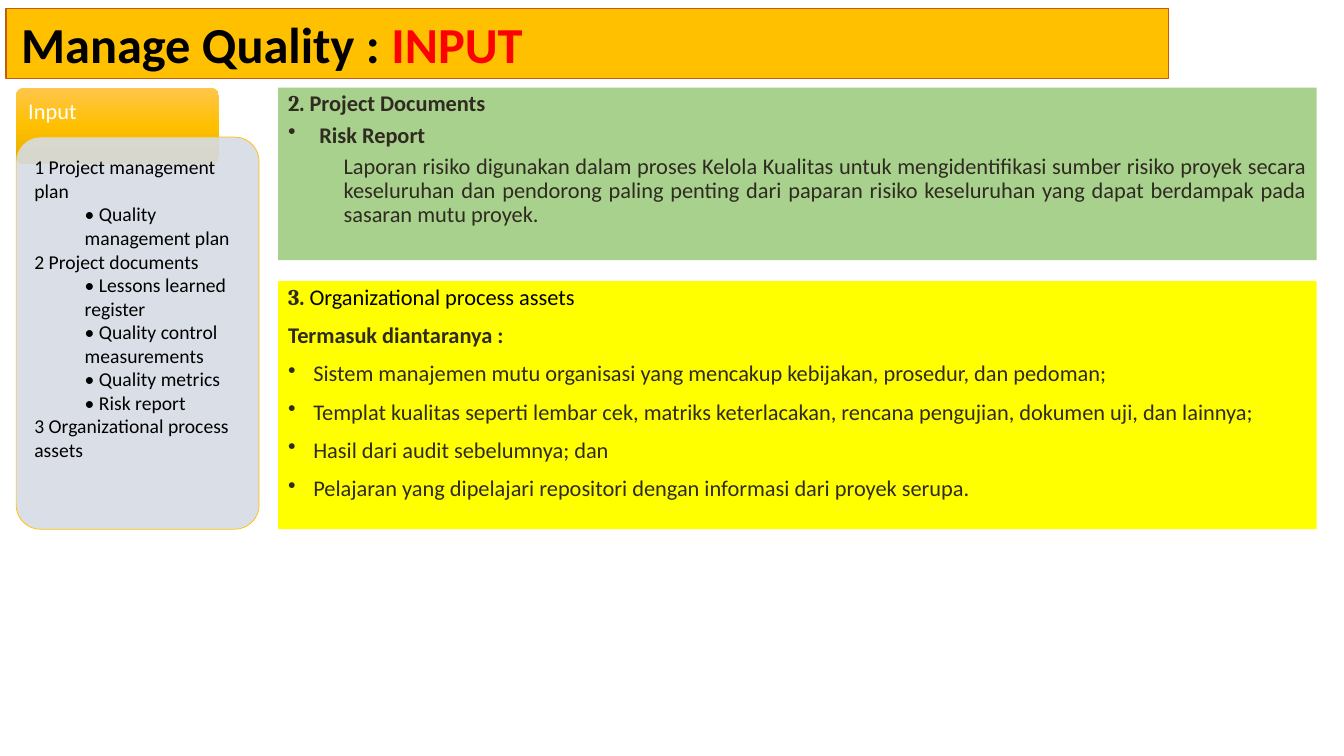
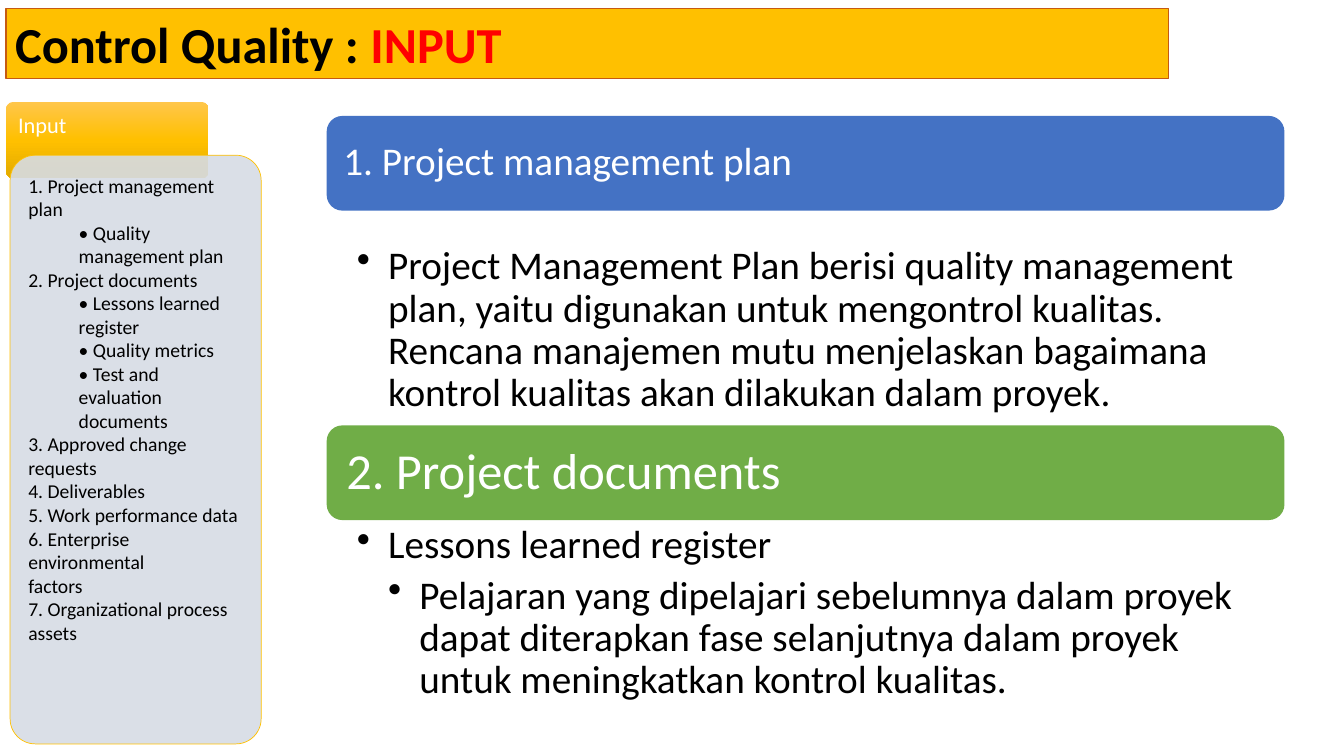
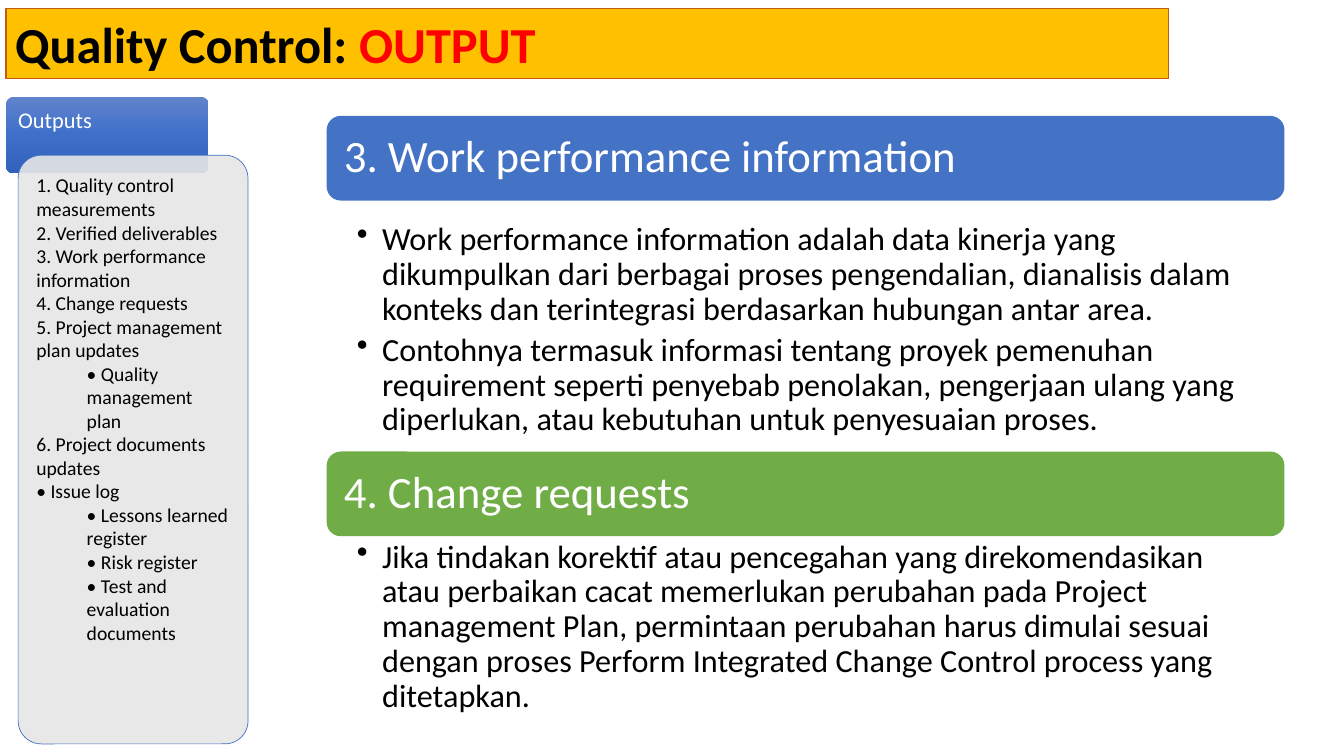
import copy

import pptx
import pptx.dml.color
import pptx.enum.shapes
import pptx.enum.text
import pptx.oxml.ns
import pptx.oxml.xmlchemy
import pptx.util
from lxml import etree

Inches, Pt = pptx.util.Inches, pptx.util.Pt
SHAPES = pptx.enum.shapes.MSO_SHAPE
ANCHOR = pptx.enum.text.MSO_ANCHOR
ALIGN = pptx.enum.text.PP_ALIGN
qn = pptx.oxml.ns.qn


class Theme:
    font, number_font = "Calibri", "Cambria"
    black, white, red, ink = "000000", "FFFFFF", "FF0000", "2F2B20"
    band, band_line = "FFC000", "C55A11"
    blue, green = "4472C4", "70AD47"
    pale_green, yellow = "A9D18E", "FFFF00"
    gold_side = {"tab": ("FFC64B", "FFC000", "E3AB00"), "panel": "D6DCE5", "line": "FFC000"}
    blue_side = {"tab": ("6183CB", "3E70CA", "3062BB"), "panel": "E7E6E6", "line": "4472C4"}
    title_size, tab_size, list_size, card_size = 36, 16, 14, 16


# Paragraph layouts: left margin and first-line indent in inches, spacing in points
FLUSH = {}
SUB = {"left": 0.5}
HEAD = {"spacing": 0.9}
CARD_LINE = {"spacing": 0.9, "before": 10}
CARD_BULLET = {"spacing": 0.9, "before": 10, "left": 0.25, "hang": 0.25, "bullet": True}
CARD_SUBHEAD = {"spacing": 0.9, "before": 5, "left": 0.31, "hang": 0.31, "bullet": True}
CARD_TEXT = {"spacing": 0.9, "before": 5, "left": 0.55, "align": ALIGN.JUSTIFY}

INK = {"size": Theme.card_size, "color": Theme.ink}
INK_BOLD = {**INK, "bold": True}
NUMBER = {**INK_BOLD, "font": Theme.number_font}
CARD_TITLE = {"size": Theme.card_size, "color": Theme.black}

# Content: in a side list, a pair (text, SUB) is an indented entry
SLIDES = [
    {
        "title": ("Manage Quality : ", "INPUT"), "title_inset": 0.15,
        "side": {
            "colors": Theme.gold_side, "label": "Input",
            "tab": (0.16, 0.87), "panel": (0.16, 1.36, 2.41, 3.89),
            "entries": [
                ("1 Project management plan", FLUSH),
                ("• Quality management plan", SUB),
                ("2 Project documents", FLUSH),
                ("• Lessons learned register", SUB),
                ("• Quality control", SUB),
                ("measurements", SUB),
                ("• Quality metrics", SUB),
                ("• Risk report", SUB),
                ("3 Organizational process assets", FLUSH),
            ],
        },
        "cards": [
            (0.87, 1.71, Theme.pale_green, [
                ([("2. ", NUMBER), ("Project Documents", INK_BOLD)], CARD_LINE),
                ([("Risk Report", INK_BOLD)], CARD_SUBHEAD),
                ([("Laporan risiko digunakan dalam proses Kelola Kualitas untuk "
                   "mengidentifikasi sumber risiko proyek secara keseluruhan dan pendorong "
                   "paling penting dari paparan risiko keseluruhan yang dapat berdampak pada "
                   "sasaran mutu proyek.", INK)], CARD_TEXT),
            ]),
            (2.79, 2.46, Theme.yellow, [
                ([("3. ", NUMBER), ("Organizational process assets", CARD_TITLE)], CARD_LINE),
                ([("Termasuk diantaranya :", INK_BOLD)], CARD_LINE),
                *[([(entry, INK)], CARD_BULLET) for entry in (
                    "Sistem manajemen mutu organisasi yang mencakup kebijakan, prosedur, "
                    "dan pedoman;",
                    "Templat kualitas seperti lembar cek, matriks keterlacakan, rencana "
                    "pengujian, dokumen uji, dan lainnya;",
                    "Hasil dari audit sebelumnya; dan",
                    "Pelajaran yang dipelajari repositori dengan informasi dari proyek serupa.",
                )],
            ]),
        ],
    },
    {
        "title": ("Control Quality : ", "INPUT"),
        "side": {
            "colors": Theme.gold_side, "label": "Input",
            "tab": (0.06, 1.01), "panel": (0.1, 1.54, 2.49, 5.84),
            "entries": [
                ("1. Project management plan", FLUSH),
                ("• Quality management plan", SUB),
                ("2. Project documents", FLUSH),
                ("• Lessons learned register", SUB),
                ("• Quality metrics", SUB),
                ("• Test and evaluation", SUB),
                ("documents", SUB),
                ("3. Approved change requests", FLUSH),
                ("4. Deliverables", FLUSH),
                ("5. Work performance data", FLUSH),
                ("6. Enterprise environmental", FLUSH),
                ("factors", FLUSH),
                ("7. Organizational process assets", FLUSH),
            ],
        },
        "topics": {
            "bar_height": 0.94, "body_size": 28, "hang": 0.31, "insets": (0.3, 0.05, 0.28, 0.05),
            "sections": [
                {"heading": "1. Project management plan", "size": 28, "inset": 0.12,
                 "color": Theme.blue, "gap": 0.3, "height": 1.83, "points": [
                     (1, "Project Management Plan berisi quality management plan, yaitu "
                         "digunakan untuk mengontrol kualitas. Rencana manajemen mutu "
                         "menjelaskan bagaimana kontrol kualitas akan dilakukan dalam proyek.")]},
                {"heading": "2. Project documents", "size": 36, "inset": 0.15,
                 "color": Theme.green, "gap": 0, "height": 1.92, "points": [
                     (1, "Lessons learned register"),
                     (2, "Pelajaran yang dipelajari sebelumnya dalam proyek dapat diterapkan "
                         "fase selanjutnya dalam proyek untuk meningkatkan kontrol kualitas.")]},
            ],
        },
    },
    {
        "title": ("Quality Control: ", "OUTPUT"),
        "side": {
            "colors": Theme.blue_side, "label": "Outputs",
            "tab": (0.06, 0.96), "panel": (0.18, 1.54, 2.28, 5.84),
            "entries": [
                ("1. Quality control measurements", FLUSH),
                ("2. Verified deliverables", FLUSH),
                ("3. Work performance", FLUSH),
                ("information", FLUSH),
                ("4. Change requests", FLUSH),
                ("5. Project management plan updates", FLUSH),
                ("• Quality management plan", SUB),
                ("6. Project documents updates", FLUSH),
                ("• Issue log", FLUSH),
                ("• Lessons learned register", SUB),
                ("• Risk register", SUB),
                ("• Test and evaluation documents", SUB),
            ],
        },
        "topics": {
            "bar_height": 0.84, "body_size": 23, "hang": 0.25, "insets": (0.3, 0.04, 0.23, 0.04),
            "sections": [
                {"heading": "3. Work performance information", "size": 32, "inset": 0.13,
                 "color": Theme.blue, "gap": 0.18, "height": 2.31, "points": [
                     (1, "Work performance information adalah data kinerja yang dikumpulkan "
                         "dari berbagai proses pengendalian, dianalisis dalam konteks dan "
                         "terintegrasi berdasarkan hubungan antar area."),
                     (1, "Contohnya termasuk informasi tentang proyek pemenuhan requirement "
                         "seperti penyebab penolakan, pengerjaan ulang yang diperlukan, atau "
                         "kebutuhan untuk penyesuaian proses.")]},
                {"heading": "4. Change requests", "size": 32, "inset": 0.13,
                 "color": Theme.green, "gap": 0, "height": 1.87, "points": [
                     (1, "Jika tindakan korektif atau pencegahan yang direkomendasikan atau "
                         "perbaikan cacat memerlukan perubahan pada Project management Plan, "
                         "permintaan perubahan harus dimulai sesuai dengan proses Perform "
                         "Integrated Change Control process yang ditetapkan.")]},
            ],
        },
    },
]


# Helpers
def rgb(color):
    return pptx.dml.color.RGBColor.from_string(color)


def set_values(target, values):
    for name, value in values.items():
        setattr(target, name, value)


def add_block(slide, kind, at, fill=None, line=None, line_width=0.75):
    block = slide.shapes.add_shape(kind, *map(Inches, at))
    block.shadow.inherit = False
    if fill:
        block.fill.solid()
        block.fill.fore_color.rgb = rgb(fill)
    if line:
        block.line.color.rgb = rgb(line)
        block.line.width = Pt(line_width)
    else:
        block.line.fill.background()
    return block


def write(block, paragraphs, insets=(0.1, 0.05, 0.1, 0.05), anchor=ANCHOR.TOP):
    frame = block.text_frame
    left, top, right, bottom = map(Inches, insets)
    set_values(frame, {"word_wrap": True, "vertical_anchor": anchor, "margin_left": left,
                       "margin_top": top, "margin_right": right, "margin_bottom": bottom})
    for index, (runs, layout) in enumerate(paragraphs):
        paragraph = frame.add_paragraph() if index else frame.paragraphs[0]
        set_values(paragraph, {
            "alignment": layout.get("align", ALIGN.LEFT),
            "line_spacing": layout.get("spacing", 1.0),
            "space_before": Pt(layout.get("before", 0) if index else 0),
            "space_after": Pt(layout.get("after", 0)),
        })
        properties = paragraph._p.get_or_add_pPr()
        properties.set("marL", str(Inches(layout.get("left", 0))))
        properties.set("indent", str(-Inches(layout.get("hang", 0))))
        if layout.get("bullet"):
            etree.SubElement(properties, qn("a:buChar")).set("char", "•")
        for text, style in runs:
            run = paragraph.add_run()
            run.text = text
            set_values(run.font, {"name": style.get("font", Theme.font),
                                  "size": Pt(style["size"]), "bold": style.get("bold", False)})
            run.font.color.rgb = rgb(style["color"])


def rounded_insets(block, corner, *pads):
    # Rounded corners push the text in by 0.29 of their radius
    block.adjustments[0] = corner
    push = 0.29 * corner * min(block.width, block.height) / Inches(1)
    return [pad - push for pad in pads]


# Parts of a slide
def add_title(slide, title, left_inset):
    band = add_block(slide, SHAPES.RECTANGLE, (0.06, 0.08, 11.53, 0.7),
                     Theme.band, Theme.band_line)
    runs = [(text, {"size": Theme.title_size, "color": color, "bold": True})
            for text, color in zip(title, (Theme.black, Theme.red))]
    write(band, [(runs, FLUSH)], (left_inset, 0.05, 0.09, 0.05))


def add_side(slide, side):
    colors = side["colors"]
    tab = add_block(slide, SHAPES.ROUNDED_RECTANGLE, (*side["tab"], 2.01, 0.76))
    tab.fill.gradient()
    tab.fill.gradient_angle = 270
    stop_list = tab._element.spPr.find(".//" + qn("a:gsLst"))
    stop_list.append(copy.deepcopy(stop_list[0]))
    for stop, position, color in zip(tab.fill.gradient_stops, (0, 0.5, 1), colors["tab"]):
        stop.position = position
        stop.color.rgb = rgb(color)
    label = [(side["label"], {"size": Theme.tab_size, "color": Theme.white})]
    write(tab, [(label, HEAD)], rounded_insets(tab, 0.1, 0.12, 0.12, 0.12, 0.32))

    panel = add_block(slide, SHAPES.ROUNDED_RECTANGLE, side["panel"],
                      colors["panel"], colors["line"], 0.5)
    panel_color = panel._element.spPr.find(qn("a:solidFill"))[0]
    etree.SubElement(panel_color, qn("a:alpha")).set("val", "90000")
    style = {"size": Theme.list_size, "color": Theme.black}
    write(panel, [([(text, style)], layout) for text, layout in side["entries"]],
          rounded_insets(panel, 0.1, *[0.18] * 4))


def add_topics(slide, topics):
    left, width, top = 3.24, 9.5, 1.15
    size, hang = topics["body_size"], topics["hang"]
    body_style = {"size": size, "color": Theme.black}
    for section in topics["sections"]:
        bar = add_block(slide, SHAPES.ROUNDED_RECTANGLE,
                        (left, top, width, topics["bar_height"]), section["color"])
        heading = [(section["heading"], {"size": section["size"], "color": Theme.white})]
        write(bar, [(heading, HEAD)], [section["inset"]] * 4, ANCHOR.MIDDLE)
        top += topics["bar_height"] + section["gap"]
        body = slide.shapes.add_textbox(*map(Inches, (left, top, width, section["height"])))
        write(body, [([(text, body_style)],
                      {"spacing": 0.9, "after": round(0.2 * size, 1), "left": level * hang,
                       "hang": hang, "bullet": True})
                     for level, text in section["points"]], topics["insets"])
        top += section["height"]


def main():
    deck = pptx.Presentation()
    set_values(deck, {"slide_width": Inches(13.33), "slide_height": Inches(7.5)})
    for content in SLIDES:
        slide = deck.slides.add_slide(deck.slide_layouts[6])
        add_title(slide, content["title"], content.get("title_inset", 0.09))
        add_side(slide, content["side"])
        for top, height, color, paragraphs in content.get("cards", []):
            card = add_block(slide, SHAPES.RECTANGLE, (2.76, top, 10.3, height), color)
            write(card, paragraphs)
        if "topics" in content:
            add_topics(slide, content["topics"])
    deck.save("out.pptx")


if __name__ == "__main__":
    main()
